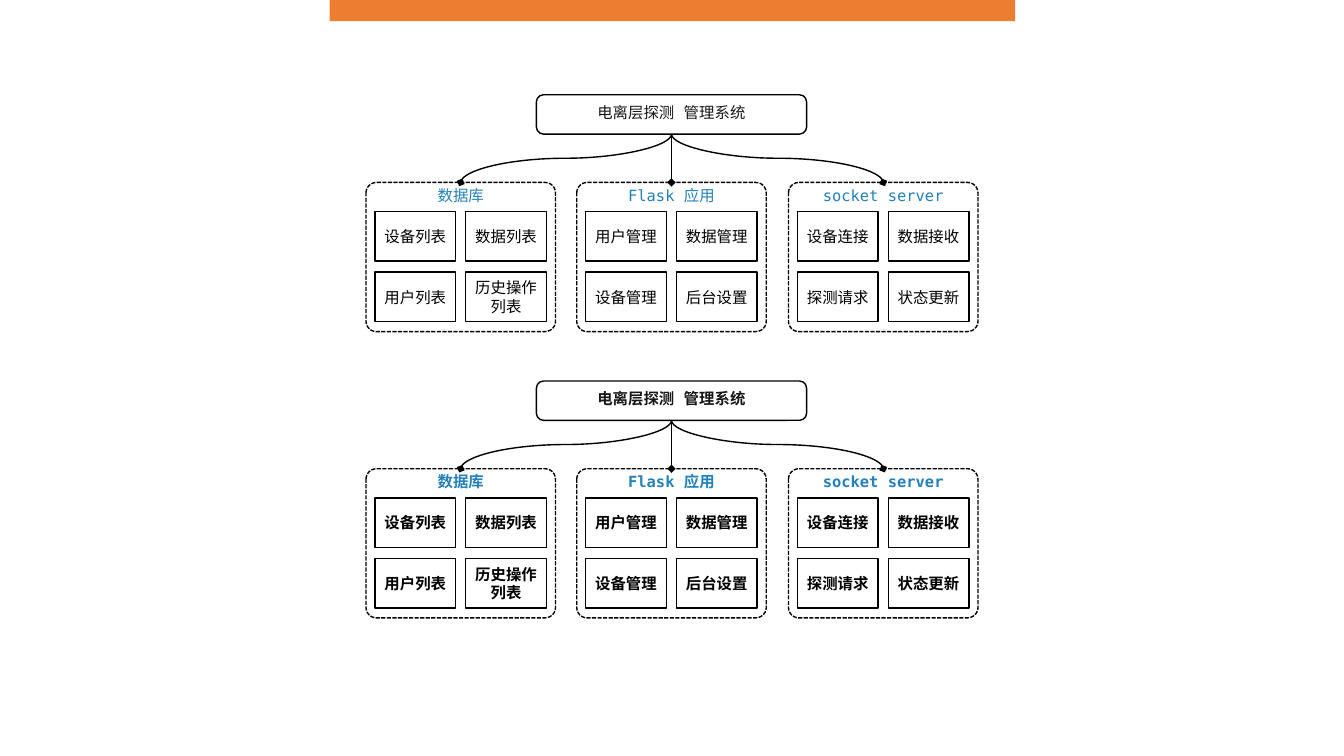
from lxml import etree
from pptx import Presentation
from pptx import util as u
from pptx.dml.color import RGBColor
from pptx.enum import dml, shapes, text
from pptx.oxml.ns import qn

PX = u.Inches(0.01)  # 100 px to the inch
FONT = "DejaVu Sans Mono"
COLORS = {"bar": "ED7D31", "line": "000000", "cell": "000000",
          "label": "2481BA", "root": "181717"}

ROOT_NAME = "电离层探测 管理系统"
MODULES = [
    ("数据库", ["设备列表", "数据列表", "用户列表", "历史操作\n列表"]),
    ("Flask 应用", ["用户管理", "数据管理", "设备管理", "后台设置"]),
    ("socket server", ["设备连接", "数据接收", "探测请求", "状态更新"]),
]


def px(*lengths):
    return [int(length * PX) for length in lengths]


def color(name):
    return RGBColor.from_string(COLORS[name])


def set_text(shape, content, color_name, bold=False, margins=(0, 0, 0, 0)):
    frame = shape.text_frame
    frame.word_wrap = True
    frame.vertical_anchor = text.MSO_ANCHOR.MIDDLE
    (frame.margin_left, frame.margin_top,
     frame.margin_right, frame.margin_bottom) = px(*margins)
    frame.text = content
    for paragraph in frame.paragraphs:
        paragraph.alignment = text.PP_ALIGN.CENTER
        for run in paragraph.runs:
            run.font.name = FONT
            run.font.size = u.Pt(11)
            run.font.bold = bold
            run.font.color.rgb = color(color_name)
            east_asian = etree.SubElement(run.font._element, qn("a:ea"))
            east_asian.set("typeface", FONT)


def add_outline(slide, kind, box, radius=None, dashed=False):
    shape = slide.shapes.add_shape(kind, *px(*box))
    shape.shadow.inherit = False
    shape.fill.background()
    shape.line.color.rgb = color("line")
    shape.line.width = u.Pt(1)
    if radius is not None:
        shape.adjustments[0] = radius
    if dashed:
        shape.line.dash_style = dml.MSO_LINE.SQUARE_DOT
    return shape


def add_link(slide, kind, begin, end):
    """Draw a line that starts with a diamond."""
    link = slide.shapes.add_connector(kind, *px(*begin, *end))
    link.line.color.rgb = color("line")
    link.line.width = u.Pt(1)
    etree.SubElement(link.line._get_or_add_ln(), qn("a:headEnd")).set("type", "diamond")
    etree.SubElement(link._element.spPr, qn("a:effectLst"))
    return link


def add_curve(slide, begin, end):
    """Draw a curve that leaves and arrives vertically: a level one, turned."""
    (x1, y1), (x2, y2) = begin, end
    center_x, center_y = (x1 + x2) / 2, (y1 + y2) / 2
    half_width, half_height = abs(x2 - x1) / 2, abs(y2 - y1) / 2
    side = 1 if x1 < x2 else -1
    curve = add_link(slide, shapes.MSO_CONNECTOR.CURVE,
                     (center_x + side * half_height, center_y + half_width),
                     (center_x - side * half_height, center_y - half_width))
    degrees = 90 if side == 1 else 270
    curve._element.spPr.find(qn("a:xfrm")).set("rot", str(degrees * 60000))


def add_module(slide, box, name, cells, bold):
    left, top, width, _ = box
    # Dashed frame and its label
    frame = add_outline(slide, shapes.MSO_SHAPE.ROUNDED_RECTANGLE, box, 0.07, dashed=True)
    label = slide.shapes.add_textbox(*px(left, top, width, 25))
    set_text(label, name, "label", bold)
    # Two by two cells
    for index, content in enumerate(cells):
        row, column = divmod(index, 2)
        cell = add_outline(slide, shapes.MSO_SHAPE.RECTANGLE,
                           (left + 9 + 90 * column, top + 29 + 60 * row, 80, 49))
        set_text(cell, content, "cell", bold)
    return frame


def add_diagram(slide, left, top, bold):
    width, root_width, root_height, module_width = 607, 268, 39, 188
    center, module_top = left + width // 2, top + 87
    # Root box
    root = add_outline(slide, shapes.MSO_SHAPE.ROUNDED_RECTANGLE,
                       (center - root_width // 2, top, root_width, root_height), 0.18)
    set_text(root, ROOT_NAME, "root", bold, margins=(10, 0, 10, 5))
    # Modules, each linked to the root box
    step = (width - module_width) / (len(MODULES) - 1)
    for index, (name, cells) in enumerate(MODULES):
        module_left = left + int(index * step)
        frame = add_module(slide, (module_left, module_top, module_width, 148),
                           name, cells, bold)
        begin = (module_left + module_width // 2, module_top)
        end = (center, top + root_height)
        if begin[0] == center:
            link = add_link(slide, shapes.MSO_CONNECTOR.STRAIGHT, begin, end)
            link.begin_connect(frame, 0)
            link.end_connect(root, 2)
        else:
            add_curve(slide, begin, end)


def add_top_bar(slide, box):
    bar = slide.shapes.add_shape(shapes.MSO_SHAPE.RECTANGLE, *px(*box))
    bar.shadow.inherit = False
    bar.fill.solid()
    bar.fill.fore_color.rgb = color("bar")
    bar.line.fill.background()


def main():
    presentation = Presentation()
    presentation.slide_width, presentation.slide_height = px(1333, 750)
    slide = presentation.slides.add_slide(presentation.slide_layouts[6])
    add_top_bar(slide, (327, 0, 680, 21))
    add_diagram(slide, 363, 94, bold=False)
    add_diagram(slide, 363, 378, bold=True)
    presentation.save("out.pptx")


if __name__ == "__main__":
    main()
